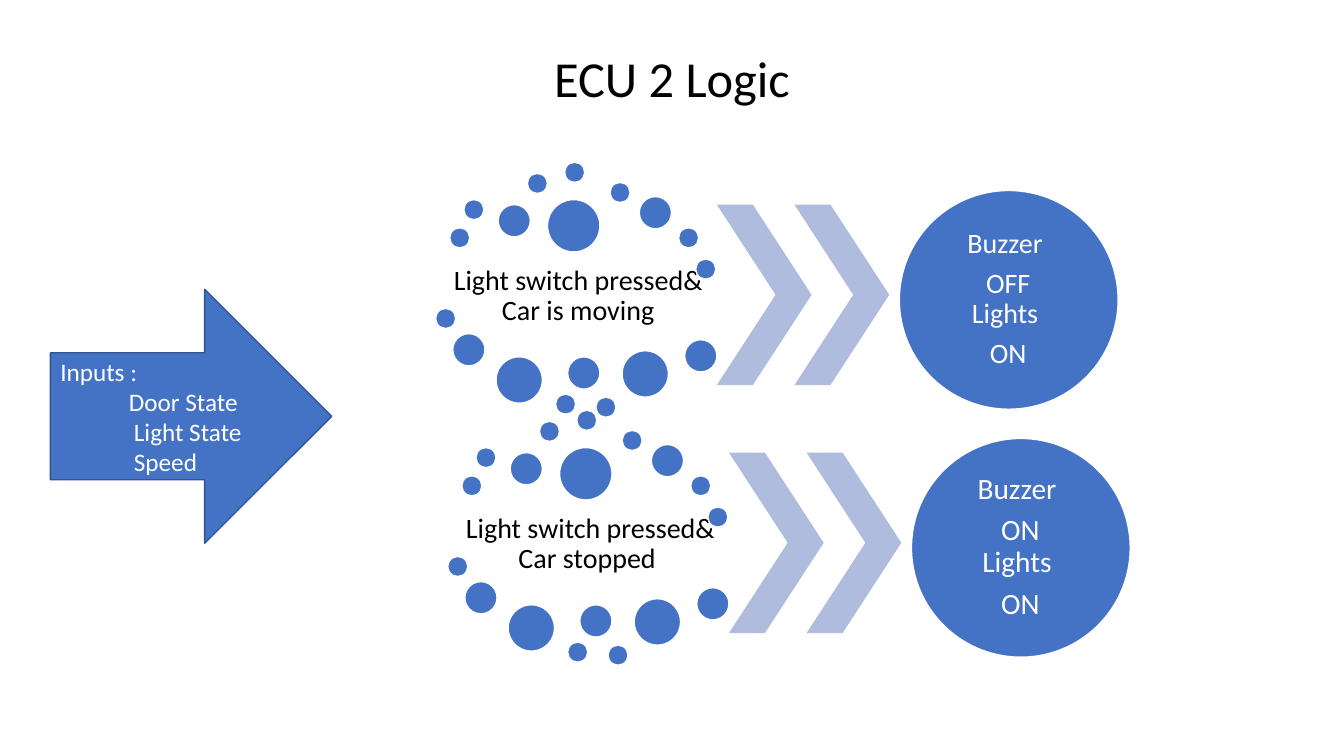
import pptx
import pptx.util
from pptx.dml.color import RGBColor
from pptx.enum.shapes import MSO_SHAPE
from pptx.enum.text import MSO_ANCHOR, MSO_AUTO_SIZE, PP_ALIGN
from pptx.util import Inches

BLUE = RGBColor(0x44, 0x72, 0xC4)
DARK_BLUE = RGBColor(0x32, 0x54, 0x91)
PALE_BLUE = RGBColor(0xB0, 0xBC, 0xDE)
WHITE = RGBColor(0xFF, 0xFF, 0xFF)
BLACK = RGBColor(0, 0, 0)
FONT = "Calibri"

# Dot diameter -> left and top of each dot within a condition's box
DOTS = {
    0.2: [(0.14, 0.65), (0.28, 0.37), (0.91, 0.11), (1.28, 0), (1.73, 0.2),
          (2.41, 0.65), (2.58, 0.96), (0, 1.45), (1.19, 2.3), (1.59, 2.33)],
    0.32: [(0.62, 0.42), (2.02, 0.34), (0.17, 1.7), (1.31, 1.93), (2.47, 1.76)],
    0.46: [(0.6, 1.93), (1.85, 1.87)],
    0.52: [(1.11, 0.37)],
}


def add_shape(shapes, kind, left, top, width, height, fill, line=None):
    """Add a flat preset shape, outlined only when a line colour is given."""
    shape = shapes.add_shape(kind, Inches(left), Inches(top), Inches(width), Inches(height))
    shape.shadow.inherit = False
    shape.fill.solid()
    shape.fill.fore_color.rgb = fill
    if line is None:
        shape.line.fill.background()
    else:
        shape.line.color.rgb = line
        shape.line.width = pptx.util.Pt(1)
    return shape


def write(frame, lines, size, color, align=PP_ALIGN.CENTER):
    """Fill a text frame with one paragraph per line and return the paragraphs."""
    frame.word_wrap = True
    for number, line in enumerate(lines):
        paragraph = frame.paragraphs[0] if number == 0 else frame.add_paragraph()
        paragraph.text = line
        paragraph.alignment = align
        paragraph.font.name = FONT
        paragraph.font.size = pptx.util.Pt(size)
        paragraph.font.color.rgb = color
    return frame.paragraphs


def add_caption(shapes, left, top, width, height, inset, lines, size, color):
    """Add a vertically centred, tightly spaced text box."""
    caption = shapes.add_textbox(Inches(left), Inches(top), Inches(width), Inches(height))
    frame = caption.text_frame
    frame.vertical_anchor = MSO_ANCHOR.MIDDLE
    frame.margin_left = frame.margin_right = Inches(inset)
    frame.margin_top = frame.margin_bottom = Inches(inset)
    for paragraph in write(frame, lines, size, color):
        paragraph.line_spacing = 0.9
        paragraph.space_after = pptx.util.Pt(7)


def add_title(slide, left, top, width, height):
    """Add the slide heading."""
    title = slide.shapes.add_textbox(Inches(left), Inches(top), Inches(width), Inches(height))
    write(title.text_frame, ["ECU 2 Logic"], 36, BLACK)
    title.text_frame.auto_size = MSO_AUTO_SIZE.SHAPE_TO_FIT_TEXT


def add_inputs(slide, left, top, width, height):
    """Add the arrow listing the inputs, with their names indented."""
    arrow = add_shape(slide.shapes, MSO_SHAPE.RIGHT_ARROW, left, top, width, height,
                      BLUE, DARK_BLUE)
    arrow.text_frame.vertical_anchor = MSO_ANCHOR.MIDDLE
    inputs = write(arrow.text_frame, ["Inputs : \nDoor State", "Light State", "Speed"],
                   18, WHITE, PP_ALIGN.LEFT)
    for paragraph, margin, first in zip(inputs, (0.68, 0.73, 0.73), (-0.68, 0, 0)):
        properties = paragraph._p.get_or_add_pPr()
        properties.set("marL", str(Inches(margin)))
        properties.set("indent", str(Inches(first)))


def add_rule(slide, left, top, condition, outcome, outcome_size):
    """Add one condition in its ring of dots, two chevrons and the outcome circle."""
    shapes = slide.shapes.add_group_shape().shapes
    add_caption(shapes, left + 0.14, top + 0.91, 2.55, 0.84, 0.03, [condition], 20, BLACK)
    for diameter, places in DOTS.items():
        for x, y in places:
            add_shape(shapes, MSO_SHAPE.OVAL, left + x, top + y, diameter, diameter,
                      BLUE, WHITE)
    for step in range(2):
        chevron = add_shape(shapes, MSO_SHAPE.CHEVRON, left + 2.79 + 0.77 * step,
                            top + 0.42, 0.94, 1.79, PALE_BLUE)
        chevron.adjustments[0] = 0.62
    add_shape(shapes, MSO_SHAPE.OVAL, left + 4.6, top + 0.28, 2.17, 2.17, BLUE, WHITE)
    add_caption(shapes, left + 4.91, top + 0.59, 1.54, 1.54, 0, outcome, outcome_size, WHITE)


presentation = pptx.Presentation()
presentation.slide_width = Inches(13.33)
presentation.slide_height = Inches(7.5)
logic = presentation.slides.add_slide(presentation.slide_layouts[6])

add_rule(logic, 4.32, 1.61, "Light switch pressed& Car is moving",
         ["Buzzer ", "OFF\nLights ", "ON"], 20)
add_title(logic, 5.17, 0.42, 2.99, 0.71)
add_inputs(logic, 0.5, 2.87, 2.79, 2.52)
add_rule(logic, 4.44, 4.07, "Light switch pressed& Car stopped ",
         ["Buzzer ", "ON\nLights ", "ON"], 21)

presentation.save("out.pptx")
